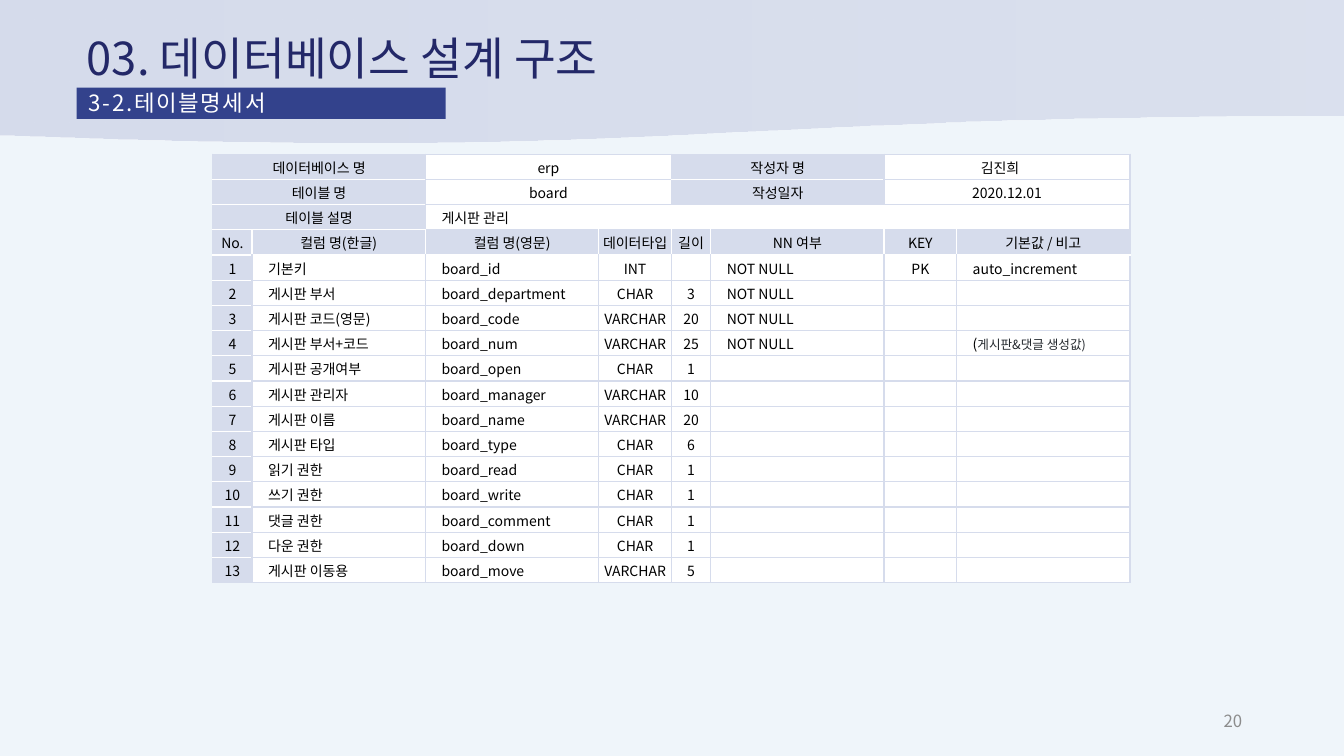
from lxml import etree
from pptx import Presentation
from pptx.dml.color import RGBColor
from pptx.enum.shapes import MSO_SHAPE
from pptx.enum.text import MSO_ANCHOR, MSO_AUTO_SIZE, PP_ALIGN
from pptx.oxml.ns import qn
from pptx.util import Inches, Pt

TITLE = "03. 데이터베이스 설계 구조"
SUBTITLE = "3-2.테이블명세서"
PAGE_NUMBER = "20"
SUMMARY = [
    {0: "데이터베이스 명", 2: "erp", 4: "작성자 명", 6: "김진희　"},
    {0: "테이블 명", 2: "board", 4: "작성일자", 6: "2020.12.01"},
    {0: "테이블 설명", 2: "게시판 관리"},
]
HEADINGS = ["No.", "컬럼 명(한글)", "컬럼 명(영문)", "데이터타입", "길이",
            "NN 여부", "KEY", "기본값 / 비고"]
FIELDS = [
    ("기본키", "board_id", "INT", "", "NOT NULL", "PK", "auto_increment"),
    ("게시판 부서", "board_department", "CHAR", "3", "NOT NULL"),
    ("게시판 코드(영문)", "board_code", "VARCHAR", "20", "NOT NULL"),
    ("게시판 부서+코드", "board_num", "VARCHAR", "25", "NOT NULL", "", "("),
    ("게시판 공개여부", "board_open", "CHAR", "1"),
    ("게시판 관리자", "board_manager", "VARCHAR", "10"),
    ("게시판 이름", "board_name", "VARCHAR", "20"),
    ("게시판 타입", "board_type", "CHAR", "6"),
    ("읽기 권한", "board_read", "CHAR", "1"),
    ("쓰기 권한", "board_write", "CHAR", "1"),
    ("댓글 권한", "board_comment", "CHAR", "1"),
    ("다운 권한", "board_down", "CHAR", "1"),
    ("게시판 이동용", "board_move", "VARCHAR", "5"),
]
NOTE_CELL = (7, 7)
NOTE = "게시판&댓글 생성값)"
COLUMN_WIDTHS = [0.39, 1.72, 1.72, 0.72, 0.39, 1.72, 0.72, 1.72]
ROW_HEIGHT = 0.25
HEADING_ROW = len(SUMMARY)
INDENTED_COLUMNS = (1, 2, 5, 7)

FONT = "Noto Sans CJK KR"
PALE = RGBColor(0xEF, 0xF5, 0xFA)
LAVENDER = RGBColor(0xD6, 0xDC, 0xEC)
NAVY = RGBColor(0x23, 0x28, 0x68)
BLUE = RGBColor(0x33, 0x42, 0x8C)
GRAY = RGBColor(0x8C, 0x8C, 0x8C)
CHARCOAL = RGBColor(0x24, 0x29, 0x2E)
BLACK = RGBColor(0, 0, 0)
WHITE = RGBColor(0xFF, 0xFF, 0xFF)
LEFT, CENTER, RIGHT, JUSTIFY = PP_ALIGN.LEFT, PP_ALIGN.CENTER, PP_ALIGN.RIGHT, PP_ALIGN.JUSTIFY
TOP, MIDDLE = MSO_ANCHOR.TOP, MSO_ANCHOR.MIDDLE
DOCUMENT = MSO_SHAPE.FLOWCHART_DOCUMENT
NO_FIT = MSO_AUTO_SIZE.NONE


def style(span, size, color):
    """Give a run its font, size and colour."""
    span.font.name = FONT
    span.font.size = Pt(size)
    span.font.color.rgb = color
    etree.SubElement(span.font._element, qn("a:ea"), typeface=FONT)


def write(box, text, size, color, align, anchor):
    """Write one formatted line in a shape and return its paragraph."""
    frame = box.text_frame
    frame.text = text
    frame.word_wrap = True
    frame.auto_size = NO_FIT
    frame.vertical_anchor = anchor
    para = frame.paragraphs[0]
    para.alignment = align
    style(para.runs[0], size, color)
    return para


def place(box, left, top, width, height):
    """Move and size a shape, in inches."""
    box.left, box.top = Inches(left), Inches(top)
    box.width, box.height = Inches(width), Inches(height)


def add_wave(page):
    """Draw the wavy band behind the title."""
    wave = page.shapes.add_shape(DOCUMENT, 0, 0, Inches(13.33), Inches(1.43))
    wave.shadow.inherit = False
    wave.line.fill.background()
    wave.fill.gradient()
    wave.fill.gradient_angle = 0
    for stop in wave.fill.gradient_stops:
        stop.color.rgb = LAVENDER
    last_color = wave._element.findall(".//" + qn("a:gs"))[-1][0]
    etree.SubElement(last_color, qn("a:alpha"), val="80000")
    page.shapes._spTree.insert(2, wave._element)


def is_shaded(row, column):
    """Tell whether a grid position is a label, heading or number."""
    return (row == HEADING_ROW or column == 0
            or row < HEADING_ROW and column == 1
            or row < HEADING_ROW - 1 and column in (4, 5))


def set_borders(cell, row, column, row_count):
    """Draw white lines between shaded cells and lavender lines elsewhere."""
    neighbours = {
        "L": (row, column - 1),
        "R": (row, column + cell.span_width),
        "T": (row - 1, column),
        "B": (row + 1, column),
    }
    properties = cell._tc.get_or_add_tcPr()
    for index, (side, (other_row, other_column)) in enumerate(neighbours.items()):
        inside = 0 <= other_row < row_count and 0 <= other_column < len(COLUMN_WIDTHS)
        both_shaded = is_shaded(row, column) and is_shaded(other_row, other_column)
        under_heading = {row, other_row} == {HEADING_ROW, HEADING_ROW + 1}
        color = WHITE if inside and (both_shaded or under_heading) else LAVENDER
        line = etree.Element(qn("a:ln" + side), w=str(Pt(1)))
        fill = etree.SubElement(line, qn("a:solidFill"))
        etree.SubElement(fill, qn("a:srgbClr"), val=str(color))
        properties.insert(index, line)


def fill_cell(cell, row, column, text):
    """Write and format one table cell."""
    indented = (row > HEADING_ROW and column in INDENTED_COLUMNS
                or (row, column) == (HEADING_ROW - 1, 2))
    cell.fill.solid()
    cell.fill.fore_color.rgb = LAVENDER if is_shaded(row, column) else WHITE
    cell.vertical_anchor = MIDDLE
    cell.margin_left = Inches(0.16 if indented else 0.01)
    cell.margin_right = cell.margin_top = Inches(0.01)
    cell.margin_bottom = 0
    cell.text_frame.text = text
    para = cell.text_frame.paragraphs[0]
    para.alignment = LEFT if indented else CENTER
    for span in para.runs:
        style(span, 10, BLACK)
    if not text:
        etree.SubElement(para._p, qn("a:endParaRPr"), sz="1000")


def add_specification(page):
    """Build the table specification."""
    numbered = [(str(number), *field) for number, field in enumerate(FIELDS, 1)]
    rows = [[line.get(column, "") for column in range(len(HEADINGS))] for line in SUMMARY]
    rows += [HEADINGS] + numbered
    table = page.shapes.add_table(
        len(rows), len(HEADINGS), Inches(2.11), Inches(1.53),
        Inches(sum(COLUMN_WIDTHS)), Inches(ROW_HEIGHT * len(rows))).table
    table.first_row = table.horz_banding = False
    for column, width in zip(table.columns, COLUMN_WIDTHS):
        column.width = Inches(width)
    for table_row in table.rows:
        table_row.height = Inches(ROW_HEIGHT)
    for row, line in enumerate(SUMMARY):
        starts = list(line)
        for start, end in zip(starts, starts[1:] + [len(HEADINGS)]):
            table.cell(row, start).merge(table.cell(row, end - 1))
    for row, values in enumerate(rows):
        for column in range(len(HEADINGS)):
            cell = table.cell(row, column)
            fill_cell(cell, row, column, values[column] if column < len(values) else "")
            if not cell.is_spanned:
                set_borders(cell, row, column, len(rows))
    note = table.cell(*NOTE_CELL).text_frame.paragraphs[0].add_run()
    note.text = NOTE
    style(note, 9, CHARCOAL)


def main():
    """Build and save the slide."""
    deck = Presentation()
    deck.slide_width, deck.slide_height = Inches(13.33), Inches(7.5)
    page = deck.slides.add_slide(deck.slide_layouts[1])
    page.background.fill.solid()
    page.background.fill.fore_color.rgb = PALE
    add_wave(page)

    title, subtitle = page.placeholders
    place(title, 0.76, 0.28, 8.55, 0.58)
    write(title, TITLE, 32.4, NAVY, LEFT, MIDDLE)

    place(subtitle, 0.76, 0.87, 3.66, 0.31)
    subtitle.fill.solid()
    subtitle.fill.fore_color.rgb = BLUE
    para = write(subtitle, SUBTITLE, 16, WHITE, JUSTIFY, TOP)
    para.line_spacing = 0.9
    para.space_before = Pt(0)
    properties = para._p.get_or_add_pPr()
    properties.set("marL", "0")
    properties.set("indent", "0")
    etree.SubElement(properties, qn("a:buNone"))
    para.runs[0].font._element.set("spc", "120")
    frame = subtitle.text_frame
    frame.margin_left = frame.margin_right = Inches(0.12)
    frame.margin_top, frame.margin_bottom = Inches(0.04), Inches(0.05)

    add_specification(page)
    number = page.shapes.add_textbox(Inches(9.42), Inches(6.95), Inches(3), Inches(0.4))
    write(number, PAGE_NUMBER, 12, GRAY, RIGHT, MIDDLE)
    deck.save("out.pptx")


if __name__ == "__main__":
    main()
